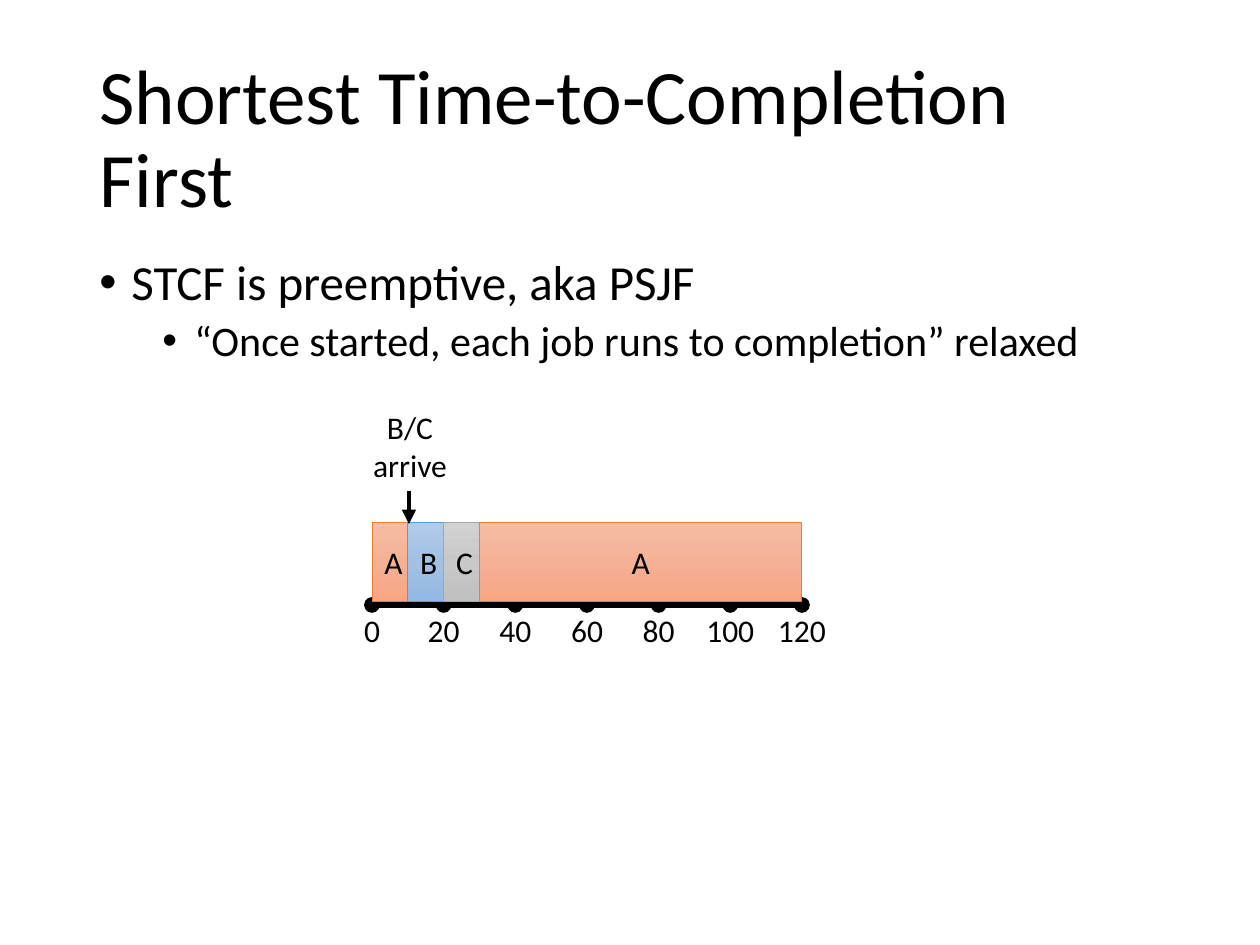
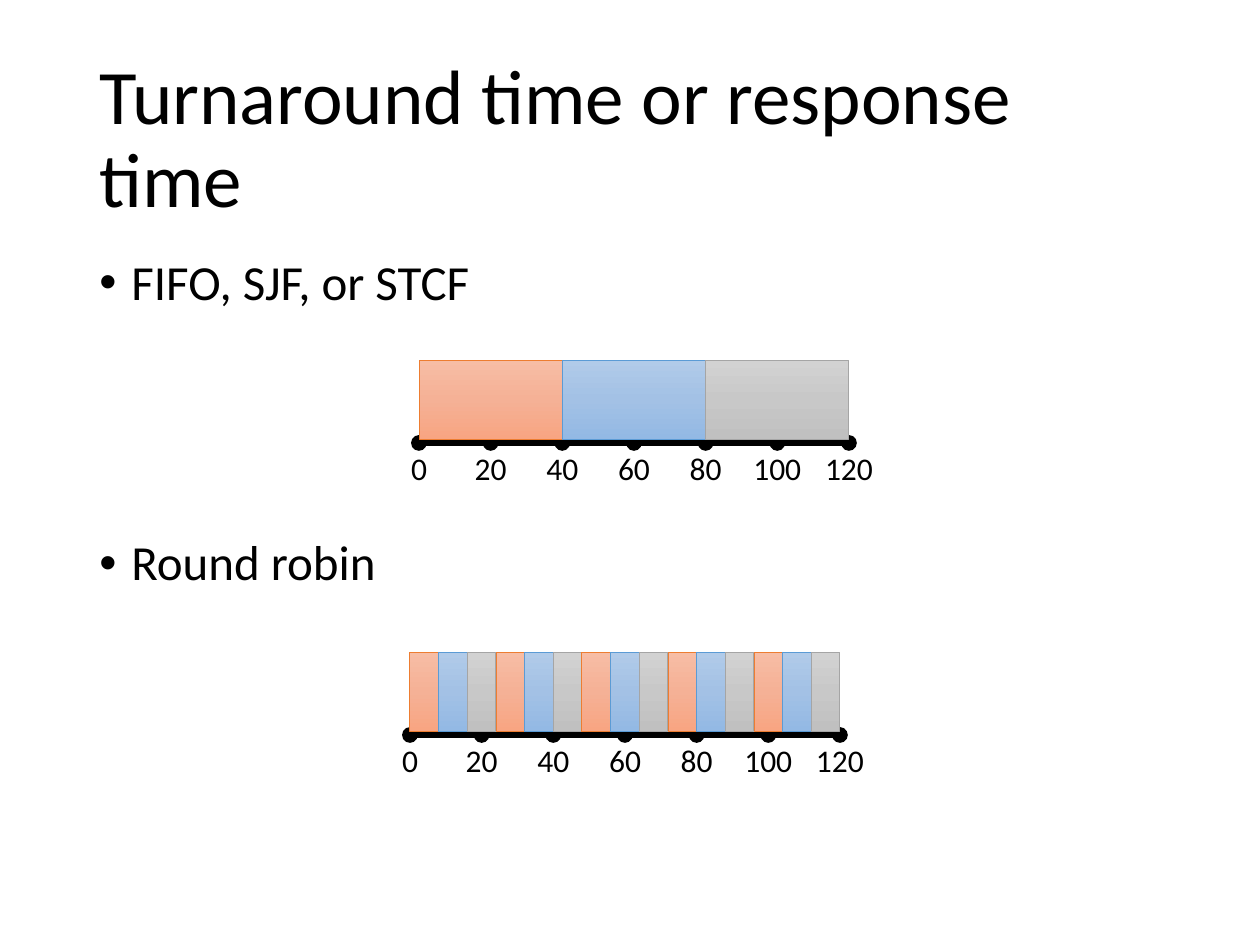
"""Build two slides on CPU scheduling, with job timelines on a 0 to 120 axis."""
from copy import deepcopy
from dataclasses import dataclass

from pptx import Presentation
from pptx.dml.color import RGBColor
from pptx.enum.shapes import MSO_CONNECTOR as CONNECTOR, MSO_SHAPE as SHAPE
from pptx.enum.text import MSO_ANCHOR as ANCHOR, MSO_AUTO_SIZE as AUTOSIZE, PP_ALIGN as ALIGN
from pptx.oxml.ns import qn
from pptx.util import Emu, Pt


@dataclass(frozen=True)
class Theme:
    font: str = "Calibri"
    ink: RGBColor = RGBColor(0, 0, 0)
    title: int = 44
    bullet: int = 28
    sub_bullet: int = 24
    label: int = 18


THEME = Theme()
JOB_COLOURS = {
    "A": ("ED7D31", ("F7BDA5", "F5B196", "F8A582")),
    "B": ("5B9BD5", ("B1CBE9", "A3C1E5", "93B9E4")),
    "C": ("A5A5A5", ("D2D2D2", "C8C8C8", "C0C0C0")),
}
EMU_PER_PX = 914400 / 126
AXIS_LENGTH, END_TIME, TICK_STEP = 430, 120, 20
DOT, BAR_RISE, BAR_HEIGHT = 14, 83, 79
INDENT_STEP, HANG = 63, 32

LESSONS = [
    {
        "title": "Shortest Time-to-Completion First",
        "bullets": [
            ("STCF is preemptive, aka PSJF", 0, 0),
            ("“Once started, each job runs to completion” relaxed", 1, 5),
        ],
        "timelines": [
            (372, 605, [("A", 10), ("B", 10), ("C", 10), ("A", 90)], True),
        ],
        "arrival": ["B/C", "arrive"],
    },
    {
        "title": "Turnaround time or response time",
        "bullets": [("FIFO, SJF, or STCF", 0, 0), ("Round robin", 0, 130)],
        "timelines": [
            (419, 443, [(job, 40) for job in "ABC"], False),
            (410, 735, [(job, 8) for job in "ABC" * 5], False),
        ],
        "arrival": [],
    },
]


def px(*lengths):
    return [Emu(round(length * EMU_PER_PX)) for length in lengths]


def write(frame, text, size=THEME.label, align=ALIGN.CENTER, line=1.0, before=0, level=None):
    paragraph = frame.add_paragraph() if frame.text else frame.paragraphs[0]
    if level is not None:
        paragraph.level = level
        properties = paragraph._p.get_or_add_pPr()
        margin, hang = px(HANG + level * INDENT_STEP, HANG)
        properties.set("marL", str(margin))
        properties.set("indent", str(-hang))
        bullet_font = properties.makeelement(qn("a:buFont"), {"typeface": "Arial"})
        bullet = properties.makeelement(qn("a:buChar"), {"char": "•"})
        properties.extend([bullet_font, bullet])
    paragraph.alignment = align
    paragraph.line_spacing = line
    paragraph.space_before = Pt(before)
    run = paragraph.add_run()
    run.text = text
    run.font.name = THEME.font
    run.font.size = Pt(size)
    run.font.color.rgb = THEME.ink


deck = Presentation()
deck.slide_width, deck.slide_height = px(1260, 945)
strokes = []

for lesson in LESSONS:
    slide = deck.slides.add_slide(deck.slide_layouts[5])
    heading = slide.shapes.title
    heading.left, heading.top, heading.width, heading.height = px(87, 50, 1086, 183)
    heading.text_frame.auto_size = AUTOSIZE.NONE
    heading.text_frame.vertical_anchor = ANCHOR.MIDDLE
    write(heading.text_frame, lesson["title"], size=THEME.title, align=ALIGN.LEFT, line=0.9)

    points = slide.shapes.add_textbox(*px(87, 252, 1086, 600)).text_frame
    points.word_wrap = True
    for text, level, before in lesson["bullets"]:
        size = THEME.sub_bullet if level else THEME.bullet
        write(points, text, size=size, align=ALIGN.LEFT, line=0.9, before=before, level=level)

    for start, baseline, jobs, named in lesson["timelines"]:
        timeline = slide.shapes.add_group_shape().shapes
        axis_ends = px(start - DOT / 2, baseline, start + AXIS_LENGTH + DOT / 2, baseline)
        axis = timeline.add_connector(CONNECTOR.STRAIGHT, *axis_ends)
        strokes.append((axis, 3))

        for time in range(0, END_TIME + 1, TICK_STEP):
            tick = start + AXIS_LENGTH * time / END_TIME
            dot = timeline.add_shape(SHAPE.OVAL, *px(tick - DOT / 2, baseline - DOT / 2, DOT, DOT))
            dot.shadow.inherit = False
            dot.fill.solid()
            dot.fill.fore_color.rgb = dot.line.color.rgb = THEME.ink
            dot.line.width = Pt(1)

            width = 26 + 16 * len(str(time))
            label = timeline.add_textbox(*px(tick - width / 2, baseline, width, 50)).text_frame
            label.word_wrap = False
            label.auto_size = AUTOSIZE.SHAPE_TO_FIT_TEXT
            write(label, str(time))

        elapsed = 0
        for job, duration in jobs:
            left = start + AXIS_LENGTH * elapsed / END_TIME
            width = AXIS_LENGTH * duration / END_TIME
            bar = timeline.add_shape(
                SHAPE.RECTANGLE, *px(left, baseline - BAR_RISE, width, BAR_HEIGHT))
            elapsed += duration
            outline, shades = JOB_COLOURS[job]
            bar.shadow.inherit = False
            bar.line.color.rgb = RGBColor.from_string(outline)
            bar.line.width = Pt(0.5)
            bar.fill.gradient()
            bar.fill.gradient_angle = 270
            stop_list = bar._element.spPr.find(".//" + qn("a:gsLst"))
            stop_list.insert(1, deepcopy(stop_list[0]))
            for stop, position, shade in zip(bar.fill.gradient_stops, (0, 0.5, 1), shades):
                stop.position = position
                stop.color.rgb = RGBColor.from_string(shade)
            if named:
                bar.text_frame.vertical_anchor = ANCHOR.MIDDLE
                write(bar.text_frame, job)

    if lesson["arrival"]:
        arrival = slide.shapes.add_textbox(*px(360, 402, 100, 89)).text_frame
        arrival.word_wrap = False
        arrival.auto_size = AUTOSIZE.SHAPE_TO_FIT_TEXT
        for text in lesson["arrival"]:
            write(arrival, text)
        arrow = slide.shapes.add_connector(CONNECTOR.STRAIGHT, *px(409, 491, 409, 524))
        strokes.append((arrow, 2.75))
        arrow_line = arrow.line._get_or_add_ln()
        arrow_line.append(arrow_line.makeelement(qn("a:tailEnd"), {"type": "triangle"}))

for stroke, weight in strokes:
    stroke.line.color.rgb = THEME.ink
    stroke.line.width = Pt(weight)
    properties = stroke._element.spPr
    properties.append(properties.makeelement(qn("a:effectLst"), {}))

deck.save("out.pptx")
